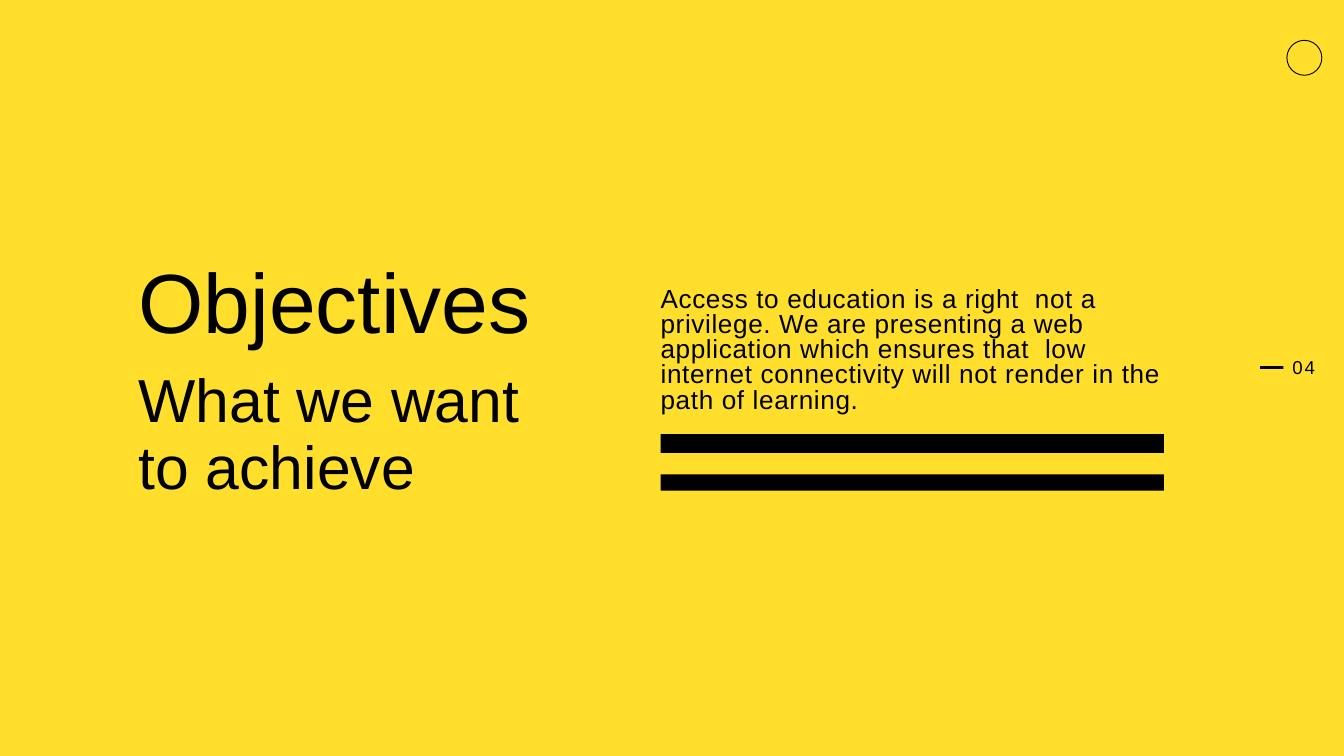
from dataclasses import dataclass

from pptx import Presentation
from pptx.dml.color import RGBColor
from pptx.enum.shapes import MSO_SHAPE as SHAPE
from pptx.enum.text import MSO_ANCHOR as ANCHOR, MSO_AUTO_SIZE as AUTOSIZE, PP_ALIGN as ALIGN
from pptx.util import Inches, Pt


@dataclass(frozen=True)
class Theme:
    background: RGBColor = RGBColor(0xFF, 0xDF, 0x2B)
    ink: RGBColor = RGBColor(0, 0, 0)
    font: str = "Arial"
    title: float = 90
    subtitle: float = 65
    body: float = 28
    number: float = 20


theme = Theme()


def write(sp, text, *, size, leading, align=ALIGN.LEFT, tracking=0):
    """Fill a text shape with one formatted paragraph; tracking is in points."""
    tf = sp.text_frame
    tf.word_wrap = True
    tf.auto_size = AUTOSIZE.NONE
    tf.vertical_anchor = ANCHOR.TOP
    tf.margin_left = tf.margin_top = tf.margin_right = tf.margin_bottom = 0
    p = tf.paragraphs[0]
    p.alignment = align
    p.line_spacing = Pt(leading)
    r = p.add_run()
    r.text = text
    r.font.name = theme.font
    r.font.size = Pt(size)
    r.font.color.rgb = theme.ink
    if tracking:
        r.font._element.set("spc", str(round(tracking * 100)))


prs = Presentation()
prs.slide_width, prs.slide_height = Inches(20), Inches(11.25)
s = prs.slides.add_slide(prs.slide_layouts[5])
s.background.fill.solid()
s.background.fill.fore_color.rgb = theme.background

# Heading and subheading
title = s.shapes.title
title.left, title.top = Inches(2.06), Inches(3.84)
title.width, title.height = Inches(6.86), Inches(1.43)
write(title, "Objectives", size=theme.title, leading=99)

subtitle = s.shapes.add_textbox(Inches(2.06), Inches(5.48), Inches(6.08), Inches(1.99))
write(subtitle, "What we want to achieve", size=theme.subtitle, leading=71.5)

# Objective statement
body = s.shapes.add_textbox(Inches(9.83), Inches(4.29), Inches(7.65), Inches(2.3))
write(
    body,
    "Access to education is a right  not a privilege. We are presenting a web "
    "application which ensures that  low internet connectivity will not render "
    "in the path of learning.",
    size=theme.body, leading=27, tracking=0.7,
)

# Page number
number = s.shapes.add_textbox(Inches(19.07), Inches(5.29), Inches(0.5), Inches(0.34))
write(number, "04", size=theme.number, leading=24, align=ALIGN.RIGHT, tracking=2)

# Two bars under the statement and the dash beside the page number
for left, top, width, height in (
    (9.83, 6.46, 7.49, 0.28),
    (9.83, 7.06, 7.49, 0.24),
    (18.75, 5.45, 0.35, 0.04),
):
    bar = s.shapes.add_shape(SHAPE.RECTANGLE, Inches(left), Inches(top), Inches(width), Inches(height))
    bar.shadow.inherit = False
    bar.fill.solid()
    bar.fill.fore_color.rgb = theme.ink
    bar.line.fill.background()

# Corner ring
ring = s.shapes.add_shape(SHAPE.OVAL, Inches(19.15), Inches(0.6), Inches(0.52), Inches(0.52))
ring.shadow.inherit = False
ring.fill.background()
ring.line.color.rgb = theme.ink
ring.line.width = Pt(1)

prs.save("out.pptx")
